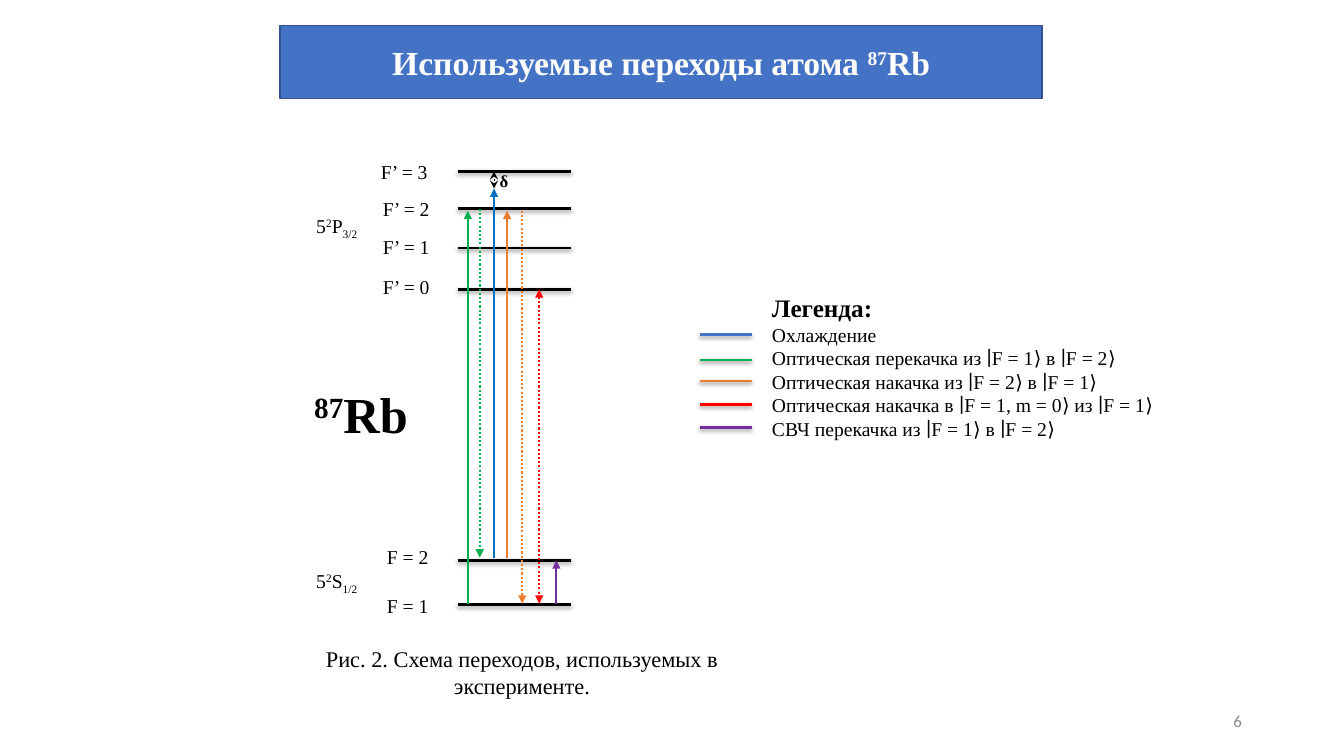
from pptx import Presentation
from pptx.dml.color import RGBColor
from pptx.enum.shapes import MSO_CONNECTOR
from pptx.enum.text import MSO_ANCHOR, MSO_AUTO_SIZE, PP_ALIGN
from pptx.oxml import parse_xml
from pptx.oxml.ns import nsdecls
from pptx.oxml.xmlchemy import OxmlElement
from pptx.util import Cm, Pt

SERIF = "Times New Roman"
BLACK, WHITE, GREY = "000000", "FFFFFF", "888888"
BLUE, SKY, GREEN = "4472C4", "0070C0", "00B050"
ORANGE, RED, PURPLE = "ED7D31", "FF0000", "7030A0"

LEVELS = [
    ("F’ = 3", 9.35, 3.91, 4.32),
    ("F’ = 2", 9.4, 4.83, 5.26),
    ("F’ = 1", 9.4, 5.79, 6.25),
    ("F’ = 0", 9.4, 6.81, 7.29),
    ("F = 2", 9.5, 13.61, 14.12),
    ("F = 1", 9.5, 14.83, 15.24),
]
TERMS = [("P", "3/2", 5.26), ("S", "1/2", 14.22)]
TRANSITIONS = [
    (11.79, 15.21, 5.31, GREEN, {}),
    (12.09, 5.26, 14.05, GREEN, {"dash": "sysDot"}),
    (12.45, 14.05, 4.75, SKY, {}),
    (12.78, 14.05, 5.31, ORANGE, {}),
    (13.16, 5.31, 15.21, ORANGE, {"dash": "sysDot"}),
    (13.59, 7.29, 15.21, RED, {"dash": "sysDot", "head": "triangle"}),
    (14.02, 15.21, 14.12, PURPLE, {}),
]
LEGEND = [
    ("Охлаждение", BLUE, 8.43),
    ("Оптическая перекачка из ∣F = 1⟩ в ∣F = 2⟩", GREEN, 9.07),
    ("Оптическая накачка из ∣F = 2⟩ в ∣F = 1⟩", ORANGE, 9.6),
    ("Оптическая накачка в ∣F = 1, m = 0⟩ из ∣F = 1⟩", RED, 10.19),
    ("СВЧ перекачка из ∣F = 1⟩ в ∣F = 2⟩", PURPLE, 10.77),
]


def rgb(color):
    """Turn a hex string into a colour."""
    return RGBColor.from_string(color)


def place(sp, x, y, w, h):
    """Move and size a shape in centimetres."""
    sp.left, sp.top, sp.width, sp.height = Cm(x), Cm(y), Cm(w), Cm(h)


def add_runs(p, runs, size, color=BLACK, bold=False, font=SERIF):
    """Add (text, baseline percent) runs to a paragraph."""
    for text, base in runs:
        r = p.add_run()
        r.text = text
        r.font.name, r.font.size, r.font.bold = font, Pt(size), bold
        r.font.color.rgb = rgb(color)
        if base:
            r._r.get_or_add_rPr().set("baseline", str(base * 1000))


def add_text(slide, x, y, w, h, runs, size, align=PP_ALIGN.LEFT, **style):
    """Add a one-paragraph text box."""
    tf = slide.shapes.add_textbox(Cm(x), Cm(y), Cm(w), Cm(h)).text_frame
    tf.word_wrap = True
    p = tf.paragraphs[0]
    p.alignment = align
    add_runs(p, runs, size, **style)
    return tf


def add_line(slide, x1, y1, x2, y2, color, width):
    """Add a straight line without a shadow."""
    sp = slide.shapes.add_connector(
        MSO_CONNECTOR.STRAIGHT, Cm(x1), Cm(y1), Cm(x2), Cm(y2))
    sp.line.color.rgb, sp.line.width = rgb(color), Pt(width)
    sp._element.spPr.append(OxmlElement("a:effectLst"))
    return sp


def add_bar(slide, x1, x2, y, color):
    """Add a horizontal line with a soft shadow below it."""
    sp = add_line(slide, x1, y, x2, y, color, 2)
    sp._element.spPr[-1].append(parse_xml(
        f'<a:outerShdw {nsdecls("a")} blurRad="39370" dist="20320" dir="5400000" '
        'rotWithShape="0"><a:srgbClr val="000000"><a:alpha val="38000"/>'
        '</a:srgbClr></a:outerShdw>'))


def add_arrow(slide, x, y1, y2, color, width=1.5, dash=None, head=None, tail="triangle"):
    """Add a vertical arrow."""
    ln = add_line(slide, x, y1, x, y2, color, width).line._get_or_add_ln()
    ends = (("prstDash", "val", dash), ("headEnd", "type", head), ("tailEnd", "type", tail))
    for tag, key, value in ends:
        if value:
            el = OxmlElement(f"a:{tag}")
            el.set(key, value)
            ln.append(el)


def set_title(sp):
    """Format the title placeholder as a rounded banner."""
    place(sp, 7.06, 0.64, 19.2, 1.85)
    sp._element.spPr.append(parse_xml(
        f'<a:prstGeom {nsdecls("a")} prst="roundRect"><a:avLst/></a:prstGeom>'))
    sp.fill.solid()
    sp.fill.fore_color.rgb = rgb(BLUE)
    sp.line.color.rgb, sp.line.width = rgb("31538F"), Pt(1)
    tf = sp.text_frame
    tf.auto_size, tf.vertical_anchor = MSO_AUTO_SIZE.NONE, MSO_ANCHOR.MIDDLE
    p = tf.paragraphs[0]
    p.alignment = PP_ALIGN.CENTER
    runs = [("Используемые переходы атома ", 0), ("87", 30), ("Rb", 0)]
    add_runs(p, runs, 24, WHITE, True)


def set_legend(slide, sp):
    """Fill the body placeholder with the legend and draw its colour keys."""
    place(sp, 19.2, 7.24, 10.52, 5.21)
    tf = sp.text_frame
    tf.auto_size, tf.word_wrap = MSO_AUTO_SIZE.NONE, True
    lines = [("Легенда:", 18, True)] + [(text, 14, False) for text, _, _ in LEGEND]
    for i, (text, size, bold) in enumerate(lines):
        p = tf.add_paragraph() if i else tf.paragraphs[0]
        pPr = p._p.get_or_add_pPr()
        pPr.set("marL", "0")
        pPr.set("indent", "0")
        pPr.append(OxmlElement("a:buNone"))
        p.space_before = Pt(0)
        add_runs(p, [(text, 0)], size, bold=bold)
    for _, color, y in LEGEND:
        add_bar(slide, 17.63, 18.95, y, color)


def add_scheme(slide):
    """Draw the energy levels, their labels and the transitions."""
    for label, x, top, y in LEVELS:
        add_bar(slide, 11.53, 14.4, y, BLACK)
        add_text(slide, x, top, 2.59, 0.86, [(label, 0)], 14)
    for letter, spin, top in TERMS:
        runs = [("5", 0), ("2", 30), (letter, 0), (spin, -25)]
        add_text(slide, 7.72, top, 2.29, 0.86, runs, 14)
    for x, y1, y2, color, style in TRANSITIONS:
        add_arrow(slide, x, y1, y2, color, **style)
    add_arrow(slide, 12.45, 4.32, 4.75, BLACK, 0.75, head="stealth", tail="stealth")
    add_text(slide, 12.34, 4.17, 0.81, 0.76, [("δ", 0)], 12, bold=True)
    add_text(slide, 7.67, 9.53, 4.22, 1.8, [("87", 30), ("Rb", 0)], 36, bold=True)


def main():
    """Build and save the slide."""
    prs = Presentation()
    prs.slide_width, prs.slide_height = Cm(33.87), Cm(19.05)
    slide = prs.slides.add_slide(prs.slide_layouts[1])
    set_title(slide.shapes.title)
    set_legend(slide, slide.placeholders[1])
    add_scheme(slide)
    caption = "Рис. 2. Схема переходов, используемых в эксперименте."
    add_text(slide, 7.54, 16.13, 11.23, 1.63, [(caption, 0)], 16, PP_ALIGN.CENTER)
    number = add_text(slide, 23.93, 17.65, 7.62, 1.02, [("6", 0)], 12,
                      PP_ALIGN.RIGHT, color=GREY, font="Calibri")
    number.vertical_anchor = MSO_ANCHOR.MIDDLE
    prs.save("out.pptx")


if __name__ == "__main__":
    main()
